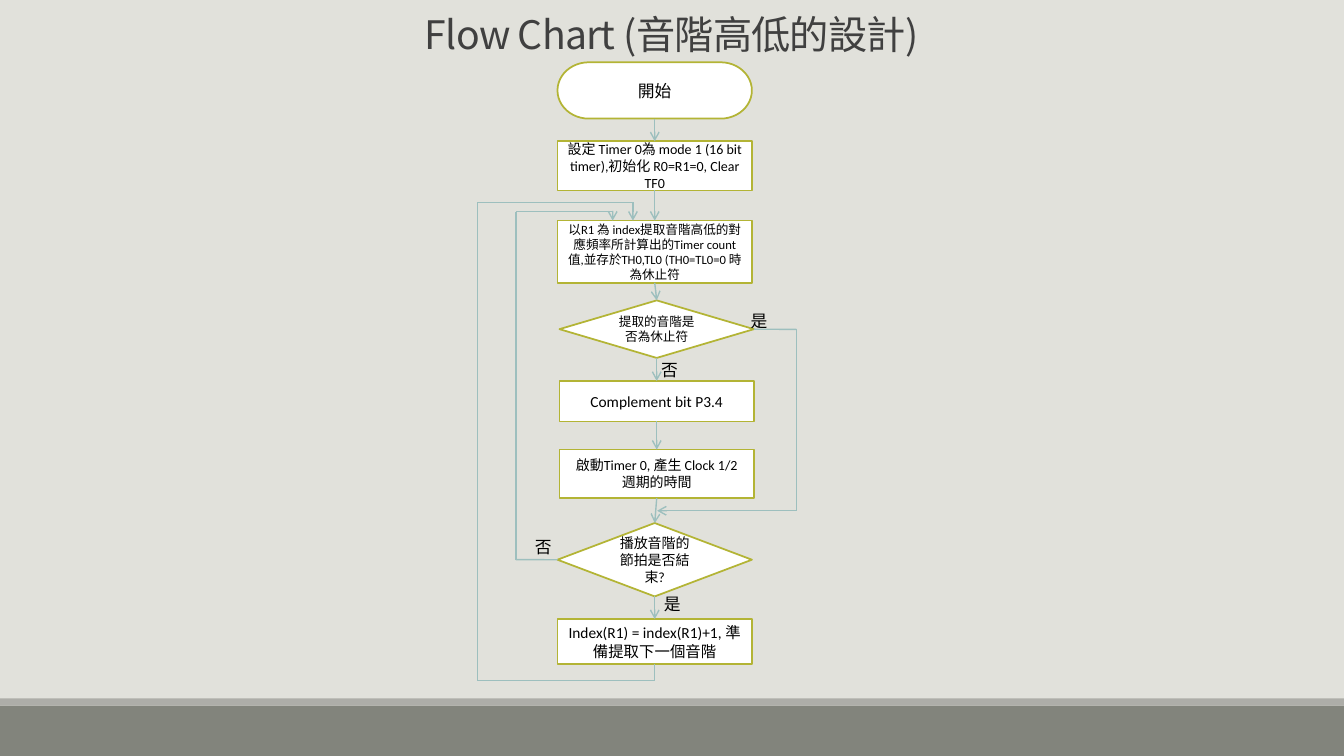
import pptx
import pptx.util
import pptx.dml.color
import pptx.enum.shapes
import pptx.enum.text
from dataclasses import dataclass
from lxml import etree

Cm = pptx.util.Cm
Pt = pptx.util.Pt
SHAPE = pptx.enum.shapes.MSO_SHAPE
STRAIGHT = pptx.enum.shapes.MSO_CONNECTOR.STRAIGHT
ALIGN = pptx.enum.text.PP_ALIGN
ANCHOR = pptx.enum.text.MSO_ANCHOR
TOP, LEFT, BOTTOM, RIGHT = range(4)

TITLE = "Flow Chart (音階高低的設計)"

STEPS = [
    ("start", SHAPE.FLOWCHART_TERMINATOR, "開始", 14.05, 1.57, 1.42, 12),
    ("setup", SHAPE.FLOWCHART_PROCESS,
     "設定 Timer 0為 mode 1 (16 bit timer),初始化 R0=R1=0, Clear TF0",
     14.05, 3.56, 1.24, 10),
    ("fetch", SHAPE.FLOWCHART_PROCESS,
     "以R1 為 index提取音階高低的對應頻率所計算出的Timer count 值,並存於TH0,TL0 (TH0=TL0=0 時為休止符",
     14.05, 5.56, 1.57, 9),
    ("is_rest", SHAPE.FLOWCHART_DECISION, "提取的音階是否為休止符", 14.1, 7.57, 1.45, 9),
    ("complement", SHAPE.FLOWCHART_PROCESS, "Complement bit P3.4", 14.1, 9.6, 1.02, 11),
    ("half_clock", SHAPE.FLOWCHART_PROCESS, "啟動Timer 0, 產生 Clock 1/2 週期的時間",
     14.1, 11.33, 1.22, 10),
    ("beat_over", SHAPE.FLOWCHART_DECISION, "播放音階的節拍是否結束?", 14.05, 13.18, 1.85, 10),
    ("next_note", SHAPE.FLOWCHART_PROCESS, "Index(R1) = index(R1)+1, 準備提取下一個音階",
     14.05, 15.6, 1.14, 11),
]

DETOURS = [
    ("is_rest", RIGHT, [(19.1, 8.3), (20.07, 8.3), (20.07, 12.87), (16.56, 12.87)]),
    ("beat_over", LEFT,
     [(14.05, 14.1), (13, 14.1), (13, 5.33), (15.44, 5.33), (15.44, 5.56)]),
    ("next_note", BOTTOM,
     [(16.5, 16.74), (16.5, 17.15), (12.03, 17.15), (12.03, 5.1), (15.95, 5.1), (15.95, 5.56)]),
]

ANSWERS = [("是", 16.48, 14.83), ("否", 16.41, 8.94), ("是", 18.67, 7.7), ("否", 13.23, 13.39)]


@dataclass(frozen=True)
class Theme:
    background: str = "E1E1DB"
    footer: str = "82847C"
    footer_edge: str = "ADADA8"
    step_fill: str = "FFFFFF"
    step_line: str = "B3B435"
    arrow: str = "9DBFBE"
    title: str = "404040"
    ink: str = "000000"
    latin: str = "Calibri"
    cjk: str = "Noto Sans CJK SC"
    title_size: float = 28
    answer_size: float = 12


theme = Theme()
SLIDE_WIDTH, SLIDE_HEIGHT = 33.87, 19.05
STEP_WIDTH = 4.9
FOOTER_TOP, EDGE_HEIGHT = 17.78, 0.18


def rgb(color):
    return pptx.dml.color.RGBColor.from_string(color)


def write(holder, text, size, color=theme.ink, font=theme.latin, align=ALIGN.CENTER,
          anchor=ANCHOR.MIDDLE, line_spacing=None, tracking=None):
    frame = holder.text_frame
    frame.word_wrap = True
    frame.auto_size = pptx.enum.text.MSO_AUTO_SIZE.NONE
    frame.vertical_anchor = anchor
    paragraph = frame.paragraphs[0]
    paragraph.alignment = align
    if line_spacing:
        paragraph.line_spacing = line_spacing
    run = paragraph.add_run()
    run.text = text
    run.font.size = Pt(size)
    run.font.name = font
    run.font.color.rgb = rgb(color)
    properties = run.font._element
    latin = properties.find(pptx.oxml.ns.qn("a:latin"))
    east_asian = etree.Element(pptx.oxml.ns.qn("a:ea"), typeface=theme.cjk)
    latin.addnext(east_asian)
    if tracking:
        properties.set("spc", str(tracking))


def add_block(slide, kind, left, top, width, height, fill, line=None):
    block = slide.shapes.add_shape(kind, Cm(left), Cm(top), Cm(width), Cm(height))
    block.shadow.inherit = False
    block.fill.solid()
    block.fill.fore_color.rgb = rgb(fill)
    if line:
        block.line.color.rgb = rgb(line)
        block.line.width = Pt(1.25)
    else:
        block.line.fill.background()
    return block


def add_segment(slide, begin=(0, 0), end=(0, 0), arrow=False):
    segment = slide.shapes.add_connector(STRAIGHT, *(Cm(value) for value in (*begin, *end)))
    segment.line.color.rgb = rgb(theme.arrow)
    segment.line.width = Pt(1)
    if arrow:
        etree.SubElement(segment.line._get_or_add_ln(), pptx.oxml.ns.qn("a:tailEnd"), type="arrow")
    etree.SubElement(segment._element.spPr, pptx.oxml.ns.qn("a:effectLst"))
    return segment


def main():
    deck = pptx.Presentation()
    deck.slide_width, deck.slide_height = Cm(SLIDE_WIDTH), Cm(SLIDE_HEIGHT)
    slide = deck.slides.add_slide(deck.slide_layouts[5])
    slide.background.fill.solid()
    slide.background.fill.fore_color.rgb = rgb(theme.background)

    add_block(slide, SHAPE.RECTANGLE, 0, FOOTER_TOP, SLIDE_WIDTH,
              SLIDE_HEIGHT - FOOTER_TOP, theme.footer)
    add_block(slide, SHAPE.RECTANGLE, 0, FOOTER_TOP - EDGE_HEIGHT, SLIDE_WIDTH,
              EDGE_HEIGHT, theme.footer_edge)

    title = slide.shapes.title
    title.left, title.top, title.width, title.height = Cm(0), Cm(0.13), Cm(SLIDE_WIDTH), Cm(1.45)
    write(title, TITLE, theme.title_size, color=theme.title, font=theme.cjk,
          anchor=ANCHOR.BOTTOM, line_spacing=0.85, tracking=-50)

    steps = {}
    for key, kind, text, left, top, height, size in STEPS:
        steps[key] = add_block(slide, kind, left, top, STEP_WIDTH, height,
                               theme.step_fill, theme.step_line)
        write(steps[key], text, size)

    flow = list(steps.values())
    for upper, lower in zip(flow, flow[1:]):
        link = add_segment(slide, arrow=True)
        link.begin_connect(upper, BOTTOM)
        link.end_connect(lower, TOP)

    for source, side, corners in DETOURS:
        for corner, following in zip(corners, corners[1:]):
            segment = add_segment(slide, corner, following, arrow=following == corners[-1])
            if corner == corners[0]:
                segment.begin_connect(steps[source], side)

    for answer, left, top in ANSWERS:
        label = slide.shapes.add_textbox(Cm(left), Cm(top), Cm(0.86), Cm(0.76))
        write(label, answer, theme.answer_size, align=ALIGN.LEFT, anchor=ANCHOR.TOP)

    deck.save("out.pptx")


if __name__ == "__main__":
    main()
